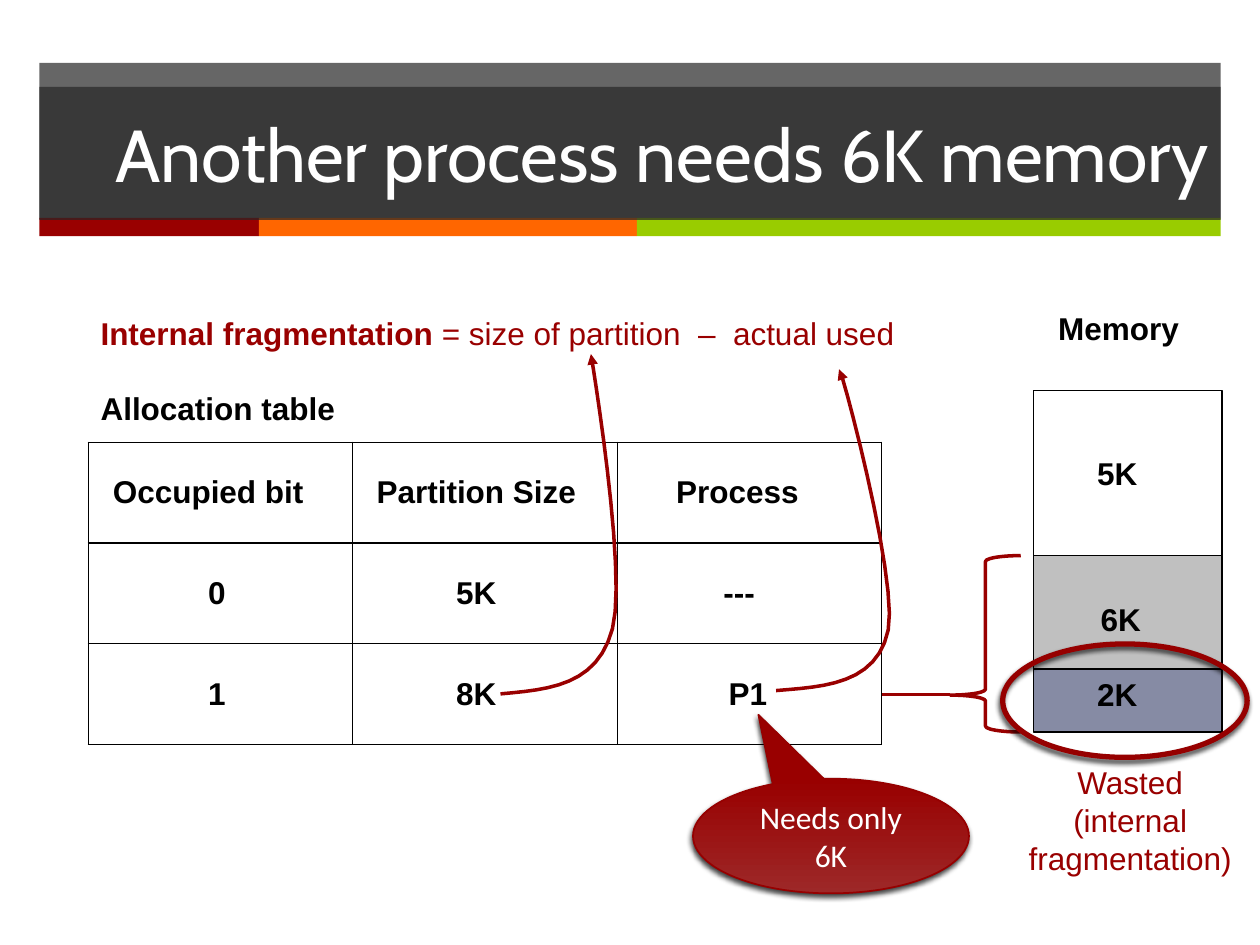
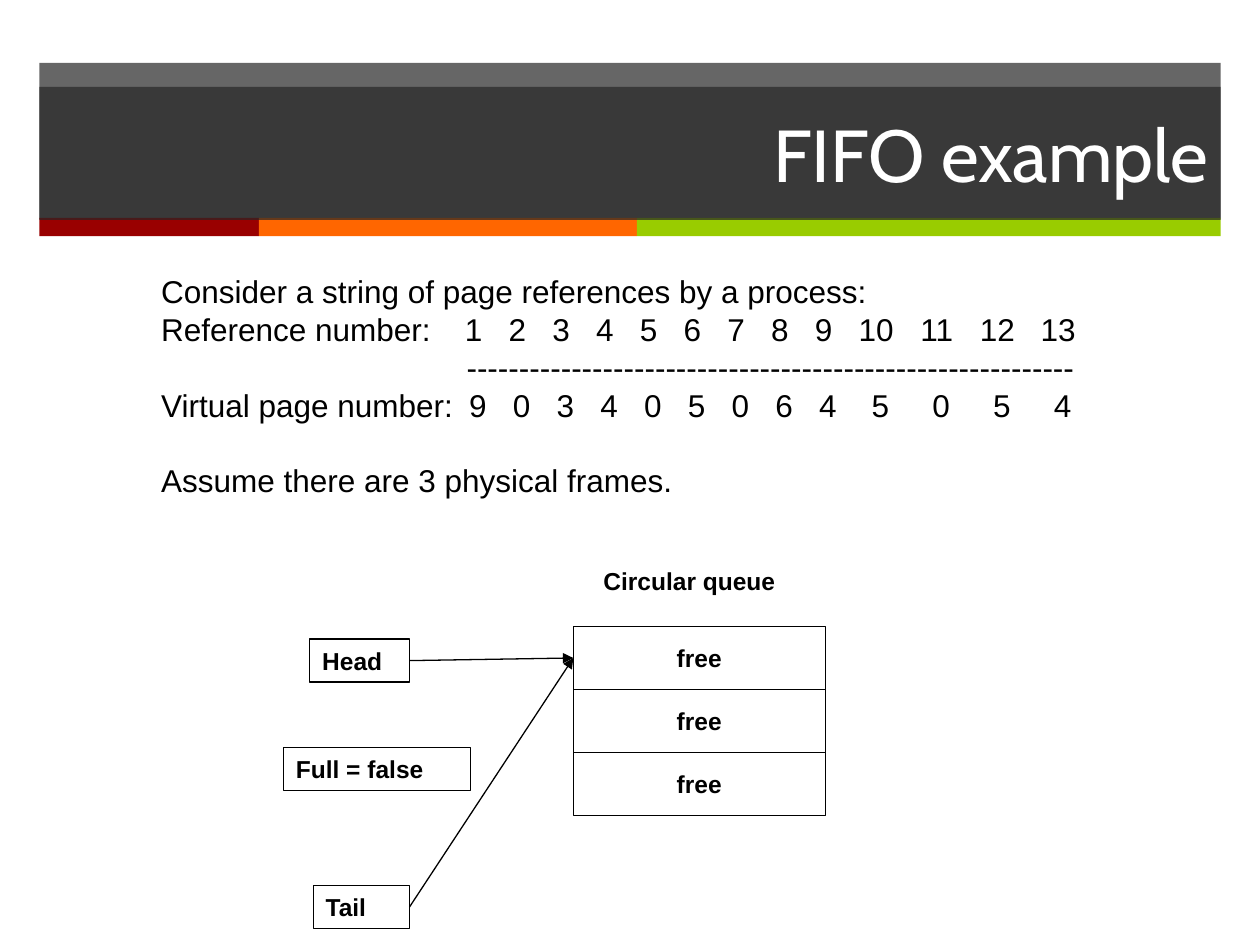
from lxml.etree import SubElement
from pptx import Presentation
from pptx.dml.color import RGBColor
from pptx.enum.shapes import MSO_CONNECTOR, MSO_SHAPE
from pptx.enum.text import MSO_ANCHOR, PP_ALIGN
from pptx.oxml.ns import qn
from pptx.util import Pt

BLACK, WHITE, RED, EDGE = "000000", "FFFFFF", "990000", "960000"
DARK, ORANGE, LIME = "262626", "FF6600", "99CC00"
GREY, SLATE, ROSE = "C0C0C0", "868BA4", "9D2828"
LEFT, MID, RIGHT = PP_ALIGN.LEFT, PP_ALIGN.CENTER, PP_ALIGN.RIGHT
LEAD = 21.6


def hue(code):
    return RGBColor.from_string(code)


def node(base, tag, **attrs):
    return SubElement(base, qn(tag), {key: str(val) for key, val in attrs.items()})


def write(frame, paras, size=18, font="Arial", color=BLACK, bold=False,
          align=LEFT, lead=None, gaps=(), pad=(7.2, 3.6, 7.2, 3.6),
          anchor=MSO_ANCHOR.TOP):
    frame.word_wrap = True
    frame.vertical_anchor = anchor
    (frame.margin_left, frame.margin_top,
     frame.margin_right, frame.margin_bottom) = map(Pt, pad)
    paras = [paras] if isinstance(paras, str) else paras
    for num, runs in enumerate(paras):
        para = frame.paragraphs[0] if num == 0 else frame.add_paragraph()
        para.alignment = align
        if lead:
            para.line_spacing = Pt(lead)
        if num in gaps:
            para.space_before = Pt(lead)
        for words, heavy in [(runs, bold)] if isinstance(runs, str) else runs:
            run = para.add_run()
            run.text = words
            run.font.name, run.font.size, run.font.bold = font, Pt(size), heavy
            run.font.color.rgb = hue(color)


def tabs(para, stops, align):
    tab_list = node(para._p.get_or_add_pPr(), "a:tabLst")
    for stop in stops:
        node(tab_list, "a:tab", pos=Pt(stop), algn=align)


def curve(start, *parts, steps=12):
    points = [start]
    for one, two, end in parts:
        ends = points[-1], one, two, end
        for step in range(1, steps + 1):
            t = step / steps
            mix = (1 - t) ** 3, 3 * t * (1 - t) ** 2, 3 * t * t * (1 - t), t ** 3
            points.append(tuple(sum(m * p[k] for m, p in zip(mix, ends))
                                for k in (0, 1)))
    return points


class Deck:
    def __init__(self):
        self.prs = Presentation()
        self.prs.slide_width, self.prs.slide_height = Pt(720), Pt(540)

    def start(self, title):
        self.shapes = self.prs.slides.add_slide(self.prs.slide_layouts[6]).shapes
        left, width = 22.5, 675
        self.shape((left, 36, width, 89), fill=DARK, alpha=70)
        for end, color in (148, RED), (364, ORANGE), (697.5, LIME):
            self.shape((left, 124.5, end - left, 10.5), fill=color)
            left = end
        band = self.shape((22.5, 49.7, width, 76), fill=DARK, alpha=70)
        write(band.text_frame, title, size=42, font="Cabin", color=WHITE,
              align=RIGHT, anchor=MSO_ANCHOR.MIDDLE)

    def shape(self, box, kind=MSO_SHAPE.RECTANGLE, fill=None, line=None,
              width=0.75, alpha=None, adjust=(), glow=False):
        item = self.shapes.add_shape(kind, *map(Pt, box))
        for num, val in enumerate(adjust):
            item.adjustments[num] = val
        if fill:
            item.fill.solid()
            item.fill.fore_color.rgb = hue(fill)
        else:
            item.fill.background()
        if alpha:
            color = item._element.spPr.find(qn("a:solidFill"))[0]
            node(color, "a:alpha", val=alpha * 1000)
        self.ink(item, line, width)
        item.shadow.inherit = False
        if glow:
            effects = item._element.spPr.find(qn("a:effectLst"))
            shade = node(effects, "a:outerShdw", blurRad=Pt(3), dist=Pt(2),
                         dir=110 * 60000, rotWithShape=0)
            node(node(shade, "a:srgbClr", val=BLACK), "a:alpha", val=75000)
        return item

    def ink(self, item, color, width, arrow=False):
        if not color:
            item.line.fill.background()
            return
        item.line.color.rgb = hue(color)
        item.line.width = Pt(width)
        if arrow:
            node(item.line._get_or_add_ln(), "a:tailEnd", type="triangle")

    def text(self, box, paras, **style):
        frame = self.shapes.add_textbox(*map(Pt, box)).text_frame
        write(frame, paras, **style)
        return frame

    def box(self, place, words, fill=None, **style):
        item = self.shape(place, fill=fill, line=BLACK)
        write(item.text_frame, words, bold=True, anchor=MSO_ANCHOR.MIDDLE, **style)
        return item

    def link(self, ends, color=BLACK, width=0.75, arrow=False, join=None):
        item = self.shapes.add_connector(MSO_CONNECTOR.STRAIGHT, *map(Pt, ends))
        if join:
            item.begin_connect(join[0], 3)
            item.end_connect(join[1], 1)
        self.ink(item, color, width, arrow)
        node(item._element.spPr, "a:effectLst")

    def swoop(self, points):
        spots = [(Pt(x), Pt(y)) for x, y in points]
        maker = self.shapes.build_freeform(*spots[0])
        maker.add_line_segments(spots[1:], close=False)
        item = maker.convert_to_shape()
        item.fill.background()
        self.ink(item, RED, 2, arrow=True)
        item.shadow.inherit = False

    def table(self, left, top, wide, high, rows):
        count = len(rows[0])
        grid = self.shapes.add_table(len(rows), count, Pt(left), Pt(top),
                                     Pt(wide * count), Pt(high * len(rows))).table
        grid.first_row = grid.horz_banding = False
        for col in grid.columns:
            col.width = Pt(wide)
        for r, row in enumerate(rows):
            grid.rows[r].height = Pt(high)
            for c, (words, pad) in enumerate(row):
                cell = grid.cell(r, c)
                write(cell.text_frame, words, bold=True, align=MID)
                cell.margin_left, cell.margin_right = 0, Pt(pad)
                cell.vertical_anchor = MSO_ANCHOR.MIDDLE
                for side in "LRTB":
                    edge = node(cell._tc.get_or_add_tcPr(), "a:ln" + side, w=Pt(0.75))
                    node(node(edge, "a:solidFill"), "a:srgbClr", val=BLACK)
                cell.fill.background()


def memory(deck):
    deck.start("Another process needs 6K memory")
    deck.text((50.4, 175.7, 490, 29), [[("Internal fragmentation ", True),
              ("= size of partition  –  actual used", False)]],
              color=RED, lead=LEAD)
    deck.text((50.4, 219, 200, 29), "Allocation table", bold=True, lead=LEAD)
    deck.table(50.4, 252.7, 151.2, 57.6, [
        [("Occupied bit", 14), ("Partition Size", 10), ("Process", 14)],
        [("0", 4), ("5K", 10), ("---", 12)],
        [("1", 4), ("8K", 10), ("P1", 2)]])
    deck.text((597.6, 172.8, 100.8, 29), "Memory", bold=True, lead=LEAD)
    top = 223.2
    for words, high, fill, pad in (("5K", 94.3, None, (0, 0, 12, 0)),
                                   ("6K", 64.8, GREY, (0, 7, 8, 0)),
                                   ("2K", 36, SLATE, (0, 0, 12, 7))):
        deck.box((590.4, top, 108, high), words, fill=fill, align=MID, pad=pad)
        top += high
    deck.shape((543, 317.5, 40.3, 100.8), MSO_SHAPE.LEFT_BRACE, line=RED,
               width=2, adjust=(0.083, 0.791))
    deck.link((504, 397, 543, 397), color=RED, width=2)
    call = deck.shape((396, 445, 157.7, 65.5), MSO_SHAPE.OVAL_CALLOUT, line=EDGE,
                      width=1, adjust=(-0.263, -1.059), glow=True)
    call.fill.gradient()
    call.fill.gradient_angle = 90
    for stop, color in zip(call.fill.gradient_stops, (ROSE, RED)):
        stop.color.rgb = hue(color)
    write(call.text_frame, "Needs only 6K", font="Calibri", color=WHITE,
          align=MID, anchor=MSO_ANCHOR.MIDDLE)
    deck.swoop(curve((286, 396.5), ((314, 394), (341.3, 391.7), (350, 359.3)),
                     ((358.6, 327), (337.7, 202.3), (337.7, 202.3))))
    deck.swoop(curve((443.5, 394.6), ((471, 392.4), (501, 391), (507.6, 360)),
                     ((513.4, 329.8), (478.8, 203), (479.5, 211))))
    deck.shape((573, 368, 139.7, 64.8), MSO_SHAPE.OVAL, line=EDGE, width=3, glow=True)
    deck.text((576, 432.7, 139.7, 72.7), ["Wasted", "(internal fragmentation)"],
              color=RED, align=MID, lead=LEAD)


def queue(deck):
    deck.start("FIFO example")
    pages = 9, 0, 3, 4, 0, 5, 0, 6, 4, 5, 0, 5, 4
    body = deck.text((85, 152, 543.6, 138), [
        "Consider a string of page references by a process:",
        "\t".join(["Reference number:", *map(str, range(1, 14))]),
        "\t" + "-" * 58,
        "\t".join(["Virtual page number:", *map(str, pages)]),
        "Assume there are 3 physical frames."], lead=LEAD, gaps=(4,))
    steps = [25 * n for n in range(9)] + [230 + 34.7 * n for n in range(4)]
    for num, first in (1, 178.5), (3, 181):
        tabs(body.paragraphs[num], [first + step for step in steps], "ctr")
    tabs(body.paragraphs[2], [174.5], "l")
    deck.text((337.7, 319.7, 148, 24), "Circular queue", size=14, bold=True)
    slots = [deck.box((327.6, 358 + 36 * n, 144, 36), "free", size=14, align=MID)
             for n in range(3)]
    head, full, tail = [
        deck.box((left, top, wide, 24.6), words, size=14)
        for words, left, top, wide in (("Head", 177, 365.2, 57),
                                       ("Full = false", 162, 427, 107),
                                       ("Tail", 179, 506, 55))]
    for mark in head, tail:
        deck.link((0, 0, 0, 0), arrow=True, join=(mark, slots[0]))


def main():
    deck = Deck()
    memory(deck)
    queue(deck)
    deck.prs.save("out.pptx")


if __name__ == "__main__":
    main()
